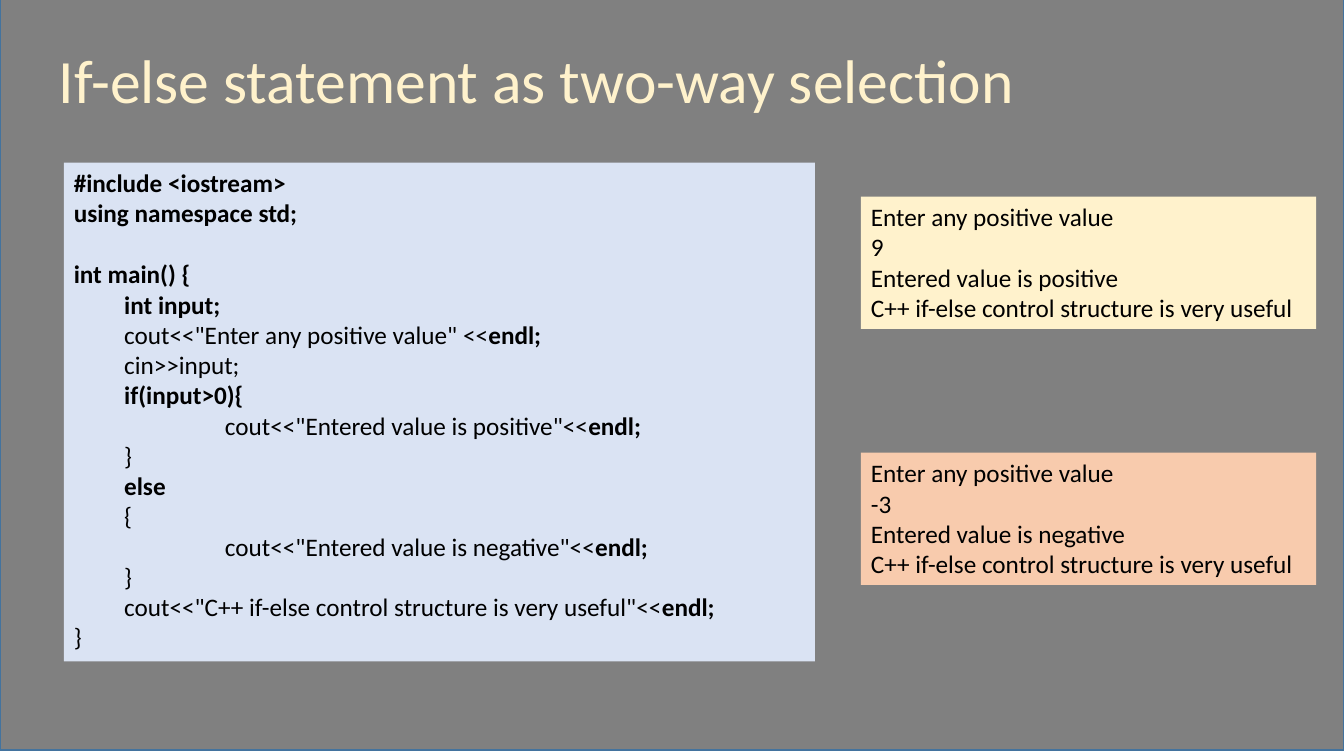
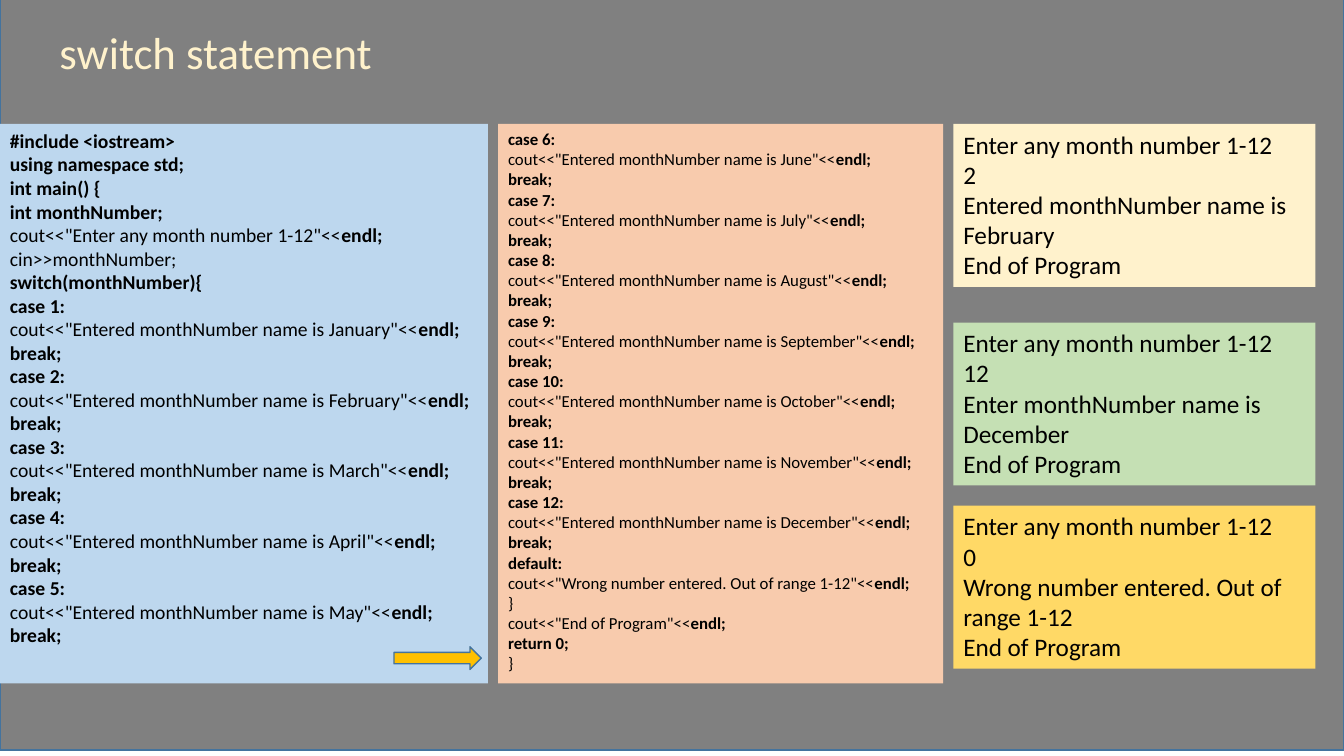
import pptx
import pptx.dml.color
import pptx.enum.shapes
import pptx.enum.text
import pptx.util

COLUMNS, ROWS = 160, 90
CELL = pptx.util.Inches(1) // 12
SHAPES = pptx.enum.shapes.MSO_SHAPE

GREY, OUTLINE, BLACK = "808080", "43739E", "000000"
CREAM, PEACH, GREEN = "FFF2CC", "F8CBAD", "C5E0B4"
GOLD, AMBER = "FFD966", "FFC000"
PALE_BLUE, SKY_BLUE = "DAE3F3", "BDD7EE"

CODE_INDENTS = (0, 0.5, 1.5)  # inches, by nesting depth

IF_ELSE_CODE = """\
#include <iostream>
using namespace std;

int main() {
    int input;
    cout<<"Enter any positive value" <<endl;
    cin>>input;
    if(input>0){
        cout<<"Entered value is positive"<<endl;
    }
    else
    {
        cout<<"Entered value is negative"<<endl;
    }
    cout<<"C++ if-else control structure is very useful"<<endl;
}"""

SWITCH_START = """\
#include <iostream>
using namespace std;
int main() {
int monthNumber;
cout<<"Enter any month number 1-12"<<endl;
cin>>monthNumber;
switch(monthNumber){
"""

SWITCH_END = """
default:
cout<<"Wrong number entered. Out of range 1-12"<<endl;
}
cout<<"End of Program"<<endl;
return 0;
}"""

MONTHS = ("January", "February", "March", "April", "May", "June", "July",
          "August", "September", "October", "November", "December")


def rgb(hex_color):
    return pptx.dml.color.RGBColor.from_string(hex_color)


def cells(*counts):
    """Turn numbers of grid cells into slide lengths."""
    return [pptx.util.Emu(round(count * CELL)) for count in counts]


def switch_cases(first, last):
    return "\n".join(
        f'case {number}:\n'
        f'cout<<"Entered monthNumber name is {MONTHS[number - 1]}"<<endl;\n'
        f'break;'
        for number in range(first, last + 1))


def code_runs(line):
    """Split a code line into (text, bold) runs: keywords bold, the rest plain."""
    if line.startswith("cout"):
        statement, keyword, _ = line.rpartition("endl;")
        return [(statement, False), (keyword, True)]
    return [(line, not line.startswith(("cin", "{", "}")))]


def write(frame, text, size=18, color=BLACK, font="Calibri", code=False):
    """Fill a frame line by line; an empty line becomes space before the next."""
    frame.word_wrap = True
    frame.vertical_anchor = pptx.enum.text.MSO_ANCHOR.TOP
    gap = 0
    for index, line in enumerate(text.split("\n")):
        if not line:
            gap = size * 1.22
            continue
        paragraph = frame.paragraphs[0] if index == 0 else frame.add_paragraph()
        paragraph.alignment = pptx.enum.text.PP_ALIGN.LEFT
        if gap:
            paragraph.space_before = pptx.util.Pt(gap)
            gap = 0
        statement = line.lstrip()
        depth = (len(line) - len(statement)) // 4
        if depth:
            properties = paragraph._p.get_or_add_pPr()
            properties.set("marL", str(pptx.util.Inches(CODE_INDENTS[depth])))
            properties.set("indent", "0")
        for part, bold in code_runs(statement) if code else [(line, False)]:
            run = paragraph.add_run()
            run.text = part
            run.font.name = font
            run.font.size = pptx.util.Pt(size)
            run.font.bold = bold
            run.font.color.rgb = rgb(color)


class Deck:
    """Holds the presentation, its style and the current slide."""

    def __init__(self):
        self.presentation = pptx.Presentation()
        self.presentation.slide_width, self.presentation.slide_height = cells(
            COLUMNS, ROWS)
        self.slide = None

    def new_slide(self, title, place, size):
        blank = self.presentation.slide_layouts[6]
        self.slide = self.presentation.slides.add_slide(blank)
        self.block((0, -0.7, COLUMNS, ROWS), GREY, outline=OUTLINE)
        heading = self.slide.shapes.add_textbox(*cells(*place))
        write(heading.text_frame, title, size=size, color=CREAM)

    def block(self, place, fill, outline=None, kind=SHAPES.RECTANGLE):
        shape = self.slide.shapes.add_shape(kind, *cells(*place))
        shape.shadow.inherit = False
        shape.fill.solid()
        shape.fill.fore_color.rgb = rgb(fill)
        if outline:
            shape.line.color.rgb = rgb(outline)
            shape.line.width = pptx.util.Pt(1)
        else:
            shape.line.fill.background()
        return shape

    def panel(self, place, fill, text, **text_format):
        write(self.block(place, fill).text_frame, text, **text_format)

    def arrow(self, place):
        self.block(place, AMBER, outline=OUTLINE, kind=SHAPES.RIGHT_ARROW)


def if_else_slide(deck):
    deck.new_slide("If-else statement as two-way selection",
                   (5.8, 4.4, 140, 19), size=44)
    deck.panel((7.6, 19.35, 89.4, 59.4), PALE_BLUE, IF_ELSE_CODE, code=True)
    for top, fill, value, sign in ((23.4, CREAM, "9", "positive"),
                                   (53.9, PEACH, "-3", "negative")):
        deck.panel((102.5, top, 54.2, 15.75), fill,
                   f"Enter any positive value\n{value}\n"
                   f"Entered value is {sign}\n"
                   "C++ if-else control structure is very useful")


def switch_slide(deck):
    top, height = 14.75, 66.6
    deck.new_slide("switch statement", (5.9, 2.3, 88.6, 14.2), size=32)
    deck.panel((0, top, 58.1, height), SKY_BLUE,
               SWITCH_START + switch_cases(1, 5), size=14, code=True)
    deck.panel((59.3, top, 53, height), PEACH,
               switch_cases(6, 12) + SWITCH_END, size=12, code=True)
    for output_top, fill, value, answer in (
            (top, CREAM, 2, "Entered monthNumber name is February"),
            (38.4, GREEN, 12, "Enter monthNumber name is December"),
            (60.2, GOLD, 0, "Wrong number entered. Out of range 1-12")):
        deck.panel((113.5, output_top, 43.1, 19.4), fill,
                   f"Enter any month number 1-12\n{value}\n{answer}\n"
                   "End of Program")
    deck.arrow((46.9, 77, 10.4, 2.7))


def main():
    deck = Deck()
    if_else_slide(deck)
    switch_slide(deck)
    deck.presentation.save("out.pptx")


if __name__ == "__main__":
    main()
